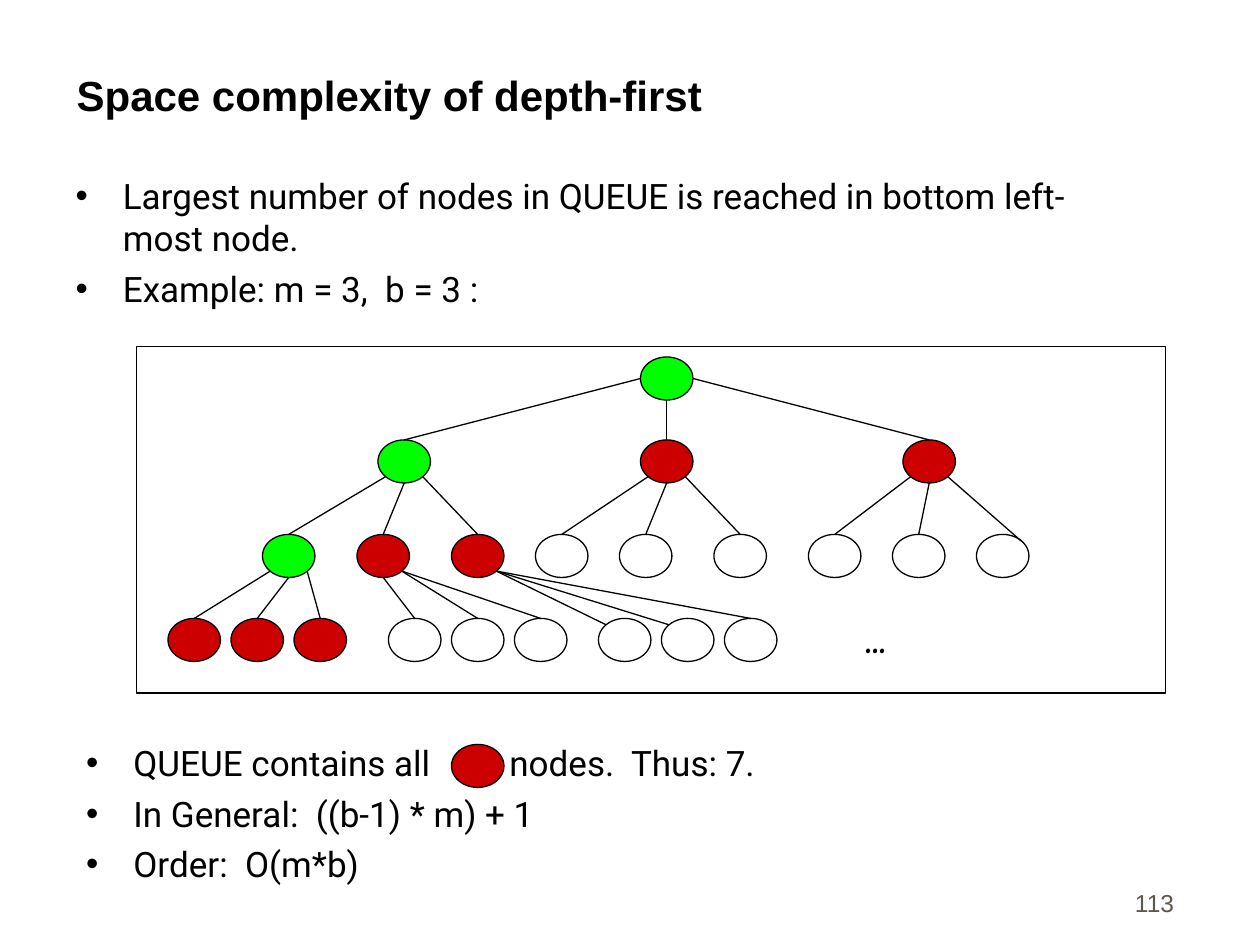
import dataclasses

import pptx
import pptx.dml.color
import pptx.enum.shapes
import pptx.enum.text
import pptx.oxml.ns
import pptx.util
import lxml.etree

EMU_PER_PX = 7620
ALIGN = pptx.enum.text.PP_ALIGN
ANCHOR = pptx.enum.text.MSO_ANCHOR
FIT = pptx.enum.text.MSO_AUTO_SIZE
SHAPE = pptx.enum.shapes.MSO_SHAPE


def px(length):
    return pptx.util.Emu(round(length * EMU_PER_PX))


@dataclasses.dataclass(frozen=True)
class Theme:
    ink: str = "000000"
    paper: str = "FFFFFF"
    expanded: str = "00FF00"
    queued: str = "CC0000"
    muted: str = "5E574E"
    heading_font: str = "Arial"
    body_font: str = "Roboto"
    dots_font: str = "Comic Neue"
    heading_size: int = 24
    body_size: int = 20
    dots_size: int = 22
    page_size: int = 14
    line_width: float = 0.75
    list_gap: int = 5


class Board:
    NODE_WIDTH, NODE_HEIGHT = 50, 41
    DIAGONAL = 0.35
    EXITS = {
        "left": (-0.5, 0),
        "right": (0.5, 0),
        "bottom": (0, 0.5),
        "lower left": (-DIAGONAL, DIAGONAL),
        "lower right": (DIAGONAL, DIAGONAL),
        "upper left": (-DIAGONAL, -DIAGONAL),
        "upper right": (DIAGONAL, -DIAGONAL),
    }

    def __init__(self, slide, theme):
        self.slide = slide
        self.theme = theme

    def place(self, holder, left, top, width, height):
        holder.left, holder.top = px(left), px(top)
        holder.width, holder.height = px(width), px(height)

    def style(self, paragraph, font, size, color, bold=False):
        for run in paragraph.runs:
            run.font.name = font
            run.font.size = pptx.util.Pt(size)
            run.font.bold = bold
            run.font.color.rgb = pptx.dml.color.RGBColor.from_string(color)

    def title(self, wording, *box):
        heading = self.slide.shapes.title
        self.place(heading, *box)
        frame = heading.text_frame
        frame.text = wording
        frame.auto_size = FIT.NONE
        frame.vertical_anchor = ANCHOR.BOTTOM
        frame.paragraphs[0].alignment = ALIGN.LEFT
        self.style(frame.paragraphs[0], self.theme.heading_font,
                   self.theme.heading_size, self.theme.ink, True)

    def bullets(self, index, items, *box):
        body = self.slide.placeholders[index]
        self.place(body, *box)
        frame = body.text_frame
        frame.text = "\n".join(items)
        frame.auto_size = FIT.NONE
        for paragraph in frame.paragraphs:
            paragraph.space_before = pptx.util.Pt(self.theme.list_gap)
            self.style(paragraph, self.theme.body_font, self.theme.body_size, self.theme.ink)
        return frame

    def append_after_gap(self, paragraph, wording, gap):
        space, rest = paragraph.add_run(), paragraph.add_run()
        space.text, rest.text = " ", wording
        self.style(paragraph, self.theme.body_font, self.theme.body_size, self.theme.ink)
        space.font._element.set("spc", str(gap * 100))

    def label(self, wording, font, size, color, *box, bold=False, align=ALIGN.LEFT,
              anchor=ANCHOR.TOP):
        holder = self.slide.shapes.add_textbox(*map(px, box))
        frame = holder.text_frame
        frame.text = wording
        frame.word_wrap = True
        frame.vertical_anchor = anchor
        frame.paragraphs[0].alignment = align
        self.style(frame.paragraphs[0], font, size, color, bold)

    def outline(self, line):
        line.color.rgb = pptx.dml.color.RGBColor.from_string(self.theme.ink)
        line.width = pptx.util.Pt(self.theme.line_width)

    def solid(self, kind, fill, *box):
        figure = self.slide.shapes.add_shape(kind, *map(px, box))
        figure.shadow.inherit = False
        figure.fill.solid()
        figure.fill.fore_color.rgb = pptx.dml.color.RGBColor.from_string(fill)
        self.outline(figure.line)
        return figure

    def node(self, fill, left, top):
        return self.solid(SHAPE.OVAL, fill, left, top, self.NODE_WIDTH, self.NODE_HEIGHT)

    def rim(self, node, side):
        across, down = self.EXITS[side]
        return (round(node.left + node.width * (0.5 + across)),
                round(node.top + node.height * (0.5 + down)))

    def edge(self, parent, leaving, child, entering="top"):
        start = self.rim(parent, leaving)
        end = start if entering == "top" else self.rim(child, entering)
        branch = self.slide.shapes.add_connector(
            pptx.enum.shapes.MSO_CONNECTOR.STRAIGHT, *start, *end)
        if entering == "top":
            branch.end_connect(child, 0)
        self.outline(branch.line)
        lxml.etree.SubElement(branch._element.spPr, pptx.oxml.ns.qn("a:effectLst"))


def draw_tree(board):
    theme = board.theme
    board.solid(SHAPE.RECTANGLE, theme.paper, 130, 330, 980, 330)
    levels = [
        (340, [610], 1, 0),
        (419, [360, 610, 860], 1, 2),
        (509, [250, 340, 430, 510, 590, 680, 770, 850, 930], 1, 2),
        (589, [160, 220, 280, 370, 430, 490, 570, 630, 690], 0, 3),
    ]
    tree = []
    for top, lefts, expanded, queued in levels:
        fills = [theme.expanded] * expanded + [theme.queued] * queued
        fills += [theme.paper] * (len(lefts) - len(fills))
        tree.append([board.node(fill, left, top) for fill, left in zip(fills, lefts)])

    fan = ["lower left", "bottom", "lower right"]
    leaving = [
        [["left", "bottom", "right"]],
        [fan] * 3,
        [fan, ["bottom", "lower right", "lower right"], ["lower right"] * 3],
    ]
    entering = {(2, 8): "upper right", (3, 6): "upper left", (3, 7): "upper left"}
    for depth, families in enumerate(leaving):
        for family, sides in enumerate(families):
            for branch, side in enumerate(sides):
                child = family * 3 + branch
                board.edge(tree[depth][family], side, tree[depth + 1][child],
                           entering.get((depth + 1, child), "top"))
    board.label("...", theme.dots_font, theme.dots_size, theme.ink,
                812, 580, 60, 56, bold=True)


def main():
    deck = pptx.Presentation()
    deck.slide_width, deck.slide_height = px(1200), px(900)
    theme = Theme()
    board = Board(deck.slides.add_slide(deck.slide_layouts[3]), theme)
    board.title("Space complexity of depth-first", 61, 30, 1070, 90)
    board.bullets(1, [
        "Largest number of nodes in QUEUE is reached in bottom left-most node.",
        "Example: m = 3,  b = 3 :",
    ], 60, 160, 1040, 670)
    draw_tree(board)
    conclusions = board.bullets(2, [
        "QUEUE contains all",
        "In General:  ((b-1) * m) + 1",
        "Order:  O(m*b)",
    ], 70, 700, 1040, 180)
    board.append_after_gap(conclusions.paragraphs[0], "nodes.  Thus: 7.", 40)
    board.node(theme.queued, 430, 709)
    board.label("113", theme.heading_font, theme.page_size, theme.muted,
                880, 820, 250, 60, align=ALIGN.RIGHT, anchor=ANCHOR.BOTTOM)
    deck.save("out.pptx")


if __name__ == "__main__":
    main()
